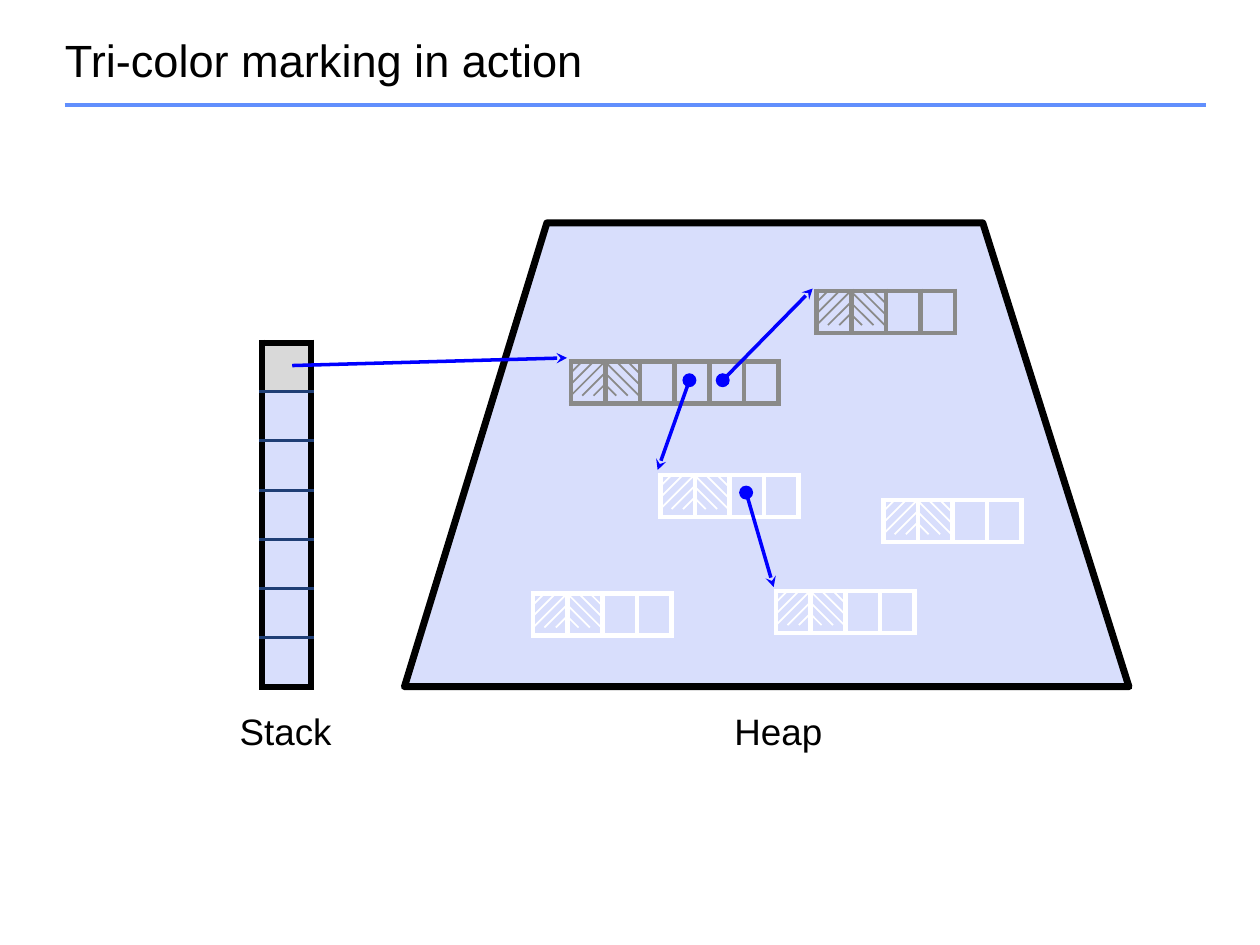
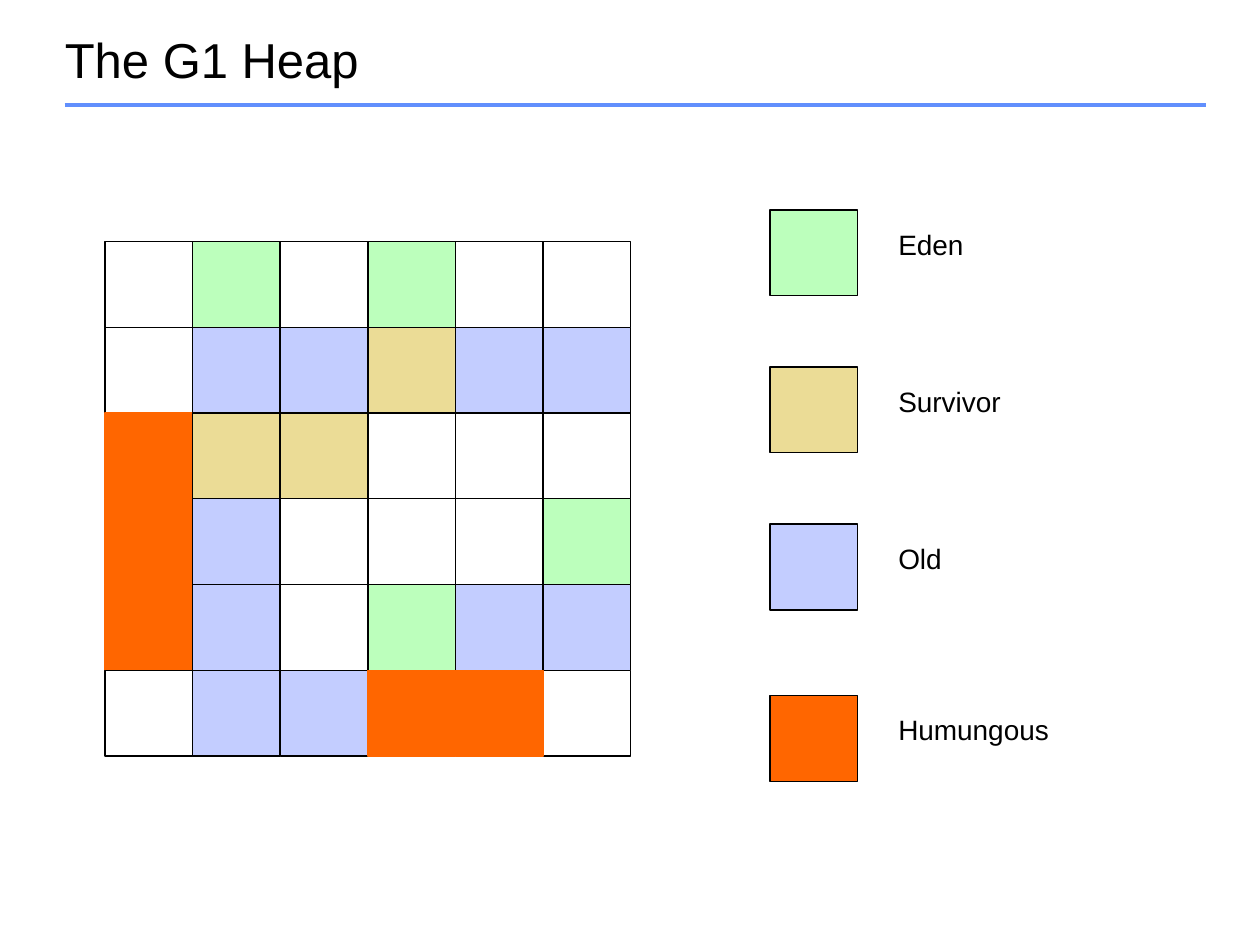
from lxml import etree
from pptx import Presentation
from pptx import util as u
from pptx.dml.color import RGBColor
from pptx.enum import shapes, text
from pptx.oxml.ns import qn

THEME = {
    "font": "Arial",
    "black": "000000", "white": "FFFFFF", "rule": "618FFD",
    "heap": "BFC8FB", "root": "D9D9D9", "frame": "1F3E75",
    "gray": "8A8A89", "pointer": "0000FF",
    "Eden": "BCFFBC", "Survivor": "EBDC96", "Old": "C3CDFF", "Humungous": "FF6600",
    "long_title": 25.8, "title": 28, "label": 21, "legend": 16,
}
HEAP_ALPHA = "60000"


def draw_line(slide, start, end, color, width, head=None):
    points = [u.Pt(value) for value in (*start, *end)]
    line = slide.shapes.add_connector(shapes.MSO_CONNECTOR.STRAIGHT, *points)
    line.line.color.rgb = RGBColor.from_string(THEME[color])
    line.line.width = u.Pt(width)
    if head:
        etree.SubElement(line.line._get_or_add_ln(), qn("a:headEnd"), type=head)
    etree.SubElement(line._element.spPr, qn("a:effectLst"))


def write_text(slide, words, box, size, frame_format, paragraph_format):
    frame = slide.shapes.add_textbox(*[u.Pt(value) for value in box]).text_frame
    for name, value in frame_format.items():
        setattr(frame, name, value)
    paragraph = frame.paragraphs[0]
    for name, value in paragraph_format.items():
        setattr(paragraph, name, value)
    run = paragraph.add_run()
    run.text = words
    font_format = {"name": THEME["font"], "size": u.Pt(THEME[size])}
    for name, value in font_format.items():
        setattr(run.font, name, value)
    run.font.color.rgb = RGBColor.from_string(THEME["black"])


deck = Presentation()
deck.slide_width, deck.slide_height = u.Pt(720), u.Pt(540)

# Shared title and rule
slides = []
for heading, size in (("Tri-color marking in action", "long_title"), ("The G1 Heap", "title")):
    slide = deck.slides.add_slide(deck.slide_layouts[6])
    draw_line(slide, (37, 60), (689, 60), "rule", 2)
    write_text(slide, heading, (30, 18, 660, 36), size,
               {"word_wrap": True, "vertical_anchor": text.MSO_ANCHOR.MIDDLE},
               {"line_spacing": 0.9})
    slides.append(slide)
marking, regions = slides

# Heap outline
corners = [(u.Pt(x), u.Pt(y)) for x, y in
           ((312.5, 127.4), (561.6, 127.4), (645.1, 392.4), (231.1, 392.4))]
outline = marking.shapes.build_freeform(*corners[0])
outline.add_line_segments(corners[1:], close=True)
heap = outline.convert_to_shape()
heap.shadow.inherit = False
heap.fill.solid()
heap.fill.fore_color.rgb = RGBColor.from_string(THEME["heap"])
heap_color = next(heap._element.iter(qn("a:srgbClr")))
etree.SubElement(heap_color, qn("a:alpha"), val=HEAP_ALPHA)
heap.line.color.rgb = RGBColor.from_string(THEME["black"])
heap.line.width = u.Pt(4)
etree.SubElement(heap.line._get_or_add_ln(), qn("a:round"))

# Stack and heap objects: left, top, rows, columns, cell size, outer and inner border
FIELD_W, FIELD_H = 19.8, 24
white_edge, gray_edge = ("white", 3), ("gray", 3)
objects = [
    (377.3, 271.4, 4, white_edge), (466.6, 166.3, 4, gray_edge),
    (504.7, 285.8, 4, white_edge), (304.6, 339.1, 4, white_edge),
    (326.2, 206.6, 6, gray_edge), (443.5, 337.7, 4, white_edge),
]
layouts = [(149.8, 195.8, 7, 1, 28.1, 28.1, ("black", 4), ("frame", 2))]
layouts += [(x, y, 1, fields, FIELD_W, FIELD_H, edge, edge) for x, y, fields, edge in objects]
for x, y, rows, columns, width, height, outer, inner in layouts:
    is_stack = rows > 1
    table = marking.shapes.add_table(
        rows, columns, u.Pt(x), u.Pt(y), u.Pt(width * columns), u.Pt(height * rows)).table
    table.first_row = table.horz_banding = False
    for column in table.columns:
        column.width = u.Pt(width)
    for r, row in enumerate(table.rows):
        row.height = u.Pt(height)
        for c, cell in enumerate(row.cells):
            for margin in ("margin_left", "margin_right", "margin_top", "margin_bottom"):
                setattr(cell, margin, 0)
            if is_stack:
                cell.fill.solid()
                cell.fill.fore_color.rgb = RGBColor.from_string(THEME["heap" if r else "root"])
                if r:
                    tint = next(cell._tc.iter(qn("a:srgbClr")))
                    etree.SubElement(tint, qn("a:alpha"), val=HEAP_ALPHA)
            else:
                cell.fill.background()
            on_edge = {"L": c == 0, "R": c == columns - 1, "T": r == 0, "B": r == rows - 1}
            for position, (side, is_outer) in enumerate(on_edge.items()):
                color, weight = outer if is_outer else inner
                border = etree.Element(qn(f"a:ln{side}"), w=str(u.Pt(weight)))
                paint = etree.SubElement(border, qn("a:solidFill"))
                etree.SubElement(paint, qn("a:srgbClr"), val=THEME[color])
                cell._tc.get_or_add_tcPr().insert(position, border)

# Hatching of the two header fields, mirrored about their shared border
HATCH = 6.5
diagonals = [((1, 0), (0, 1)), ((2, 0), (0, 2)), ((3, 0), (0, 3)),
             ((3, 1), (1, 3)), ((3, 2), (2, 3))]
for x, y, fields, (color, weight) in objects:
    for mirrored in (False, True):
        for diagonal in diagonals:
            start, end = [(x + HATCH * (6 - i if mirrored else i), y + HATCH * j)
                          for i, j in diagonal]
            draw_line(marking, start, end, color, 1)

# Pointers: target, source, and whether a dot marks the source field
DOT = 8
pointers = [
    ((375.8, 268.6), (394, 217.3), True), ((464.4, 164.9), (413, 217.3), True),
    ((442.1, 335.5), (426.4, 281.5), True), ((324, 204.5), (167, 208.9), False),
]
for target, source, has_dot in pointers:
    if has_dot:
        left, top = [u.Pt(value - DOT / 2) for value in source]
        dot = marking.shapes.add_shape(shapes.MSO_SHAPE.OVAL, left, top, u.Pt(DOT), u.Pt(DOT))
        dot.shadow.inherit = False
        dot.fill.solid()
        dot.fill.fore_color.rgb = RGBColor.from_string(THEME["pointer"])
        dot.line.fill.background()
    draw_line(marking, target, source, "pointer", 2, "stealth")

# Names of the two memory areas
inset = u.Pt(3)
area_format = {"word_wrap": True, "margin_left": inset, "margin_right": inset,
               "margin_top": inset, "margin_bottom": inset}
for area, left in (("Stack", 130.5), ("Heap", 412)):
    write_text(marking, area, (left, 402, 65.5, 31), "label", area_format,
               {"alignment": text.PP_ALIGN.CENTER})

# Region grid: one letter a cell, "." is free
REGION_W, REGION_H = 50, 49
kinds = {".": "white", "E": "Eden", "S": "Survivor", "O": "Old", "H": "Humungous"}
region_map = [".E.E..", ".OOSOO", "HSS...", "HO...E", "HO.EOO", ".OOHH."]
cells = []
for r, region_row in enumerate(region_map):
    for c in (0, 1, 2, 3, 5, 4):
        kind = kinds[region_row[c]]
        edge = kind if kind == "Humungous" else "black"
        cells.append((60 + 50.1 * c, 138 + REGION_H * r, kind, edge))

# Legend
legend = {"Eden": 120, "Survivor": 209.75, "Old": 299.5, "Humungous": 397.5}
for kind, top in legend.items():
    cells.append((440, top, kind, "black"))
    write_text(regions, kind, (506.2, top + 6.25, 142, 36), "legend", {"word_wrap": True}, {})

for x, y, kind, edge in cells:
    region = regions.shapes.add_shape(shapes.MSO_SHAPE.RECTANGLE, u.Pt(x), u.Pt(y),
                                      u.Pt(REGION_W), u.Pt(REGION_H))
    region.shadow.inherit = False
    region.fill.solid()
    region.fill.fore_color.rgb = RGBColor.from_string(THEME[kind])
    region.line.color.rgb = RGBColor.from_string(THEME[edge])
    region.line.width = u.Pt(0.75)

deck.save("out.pptx")
